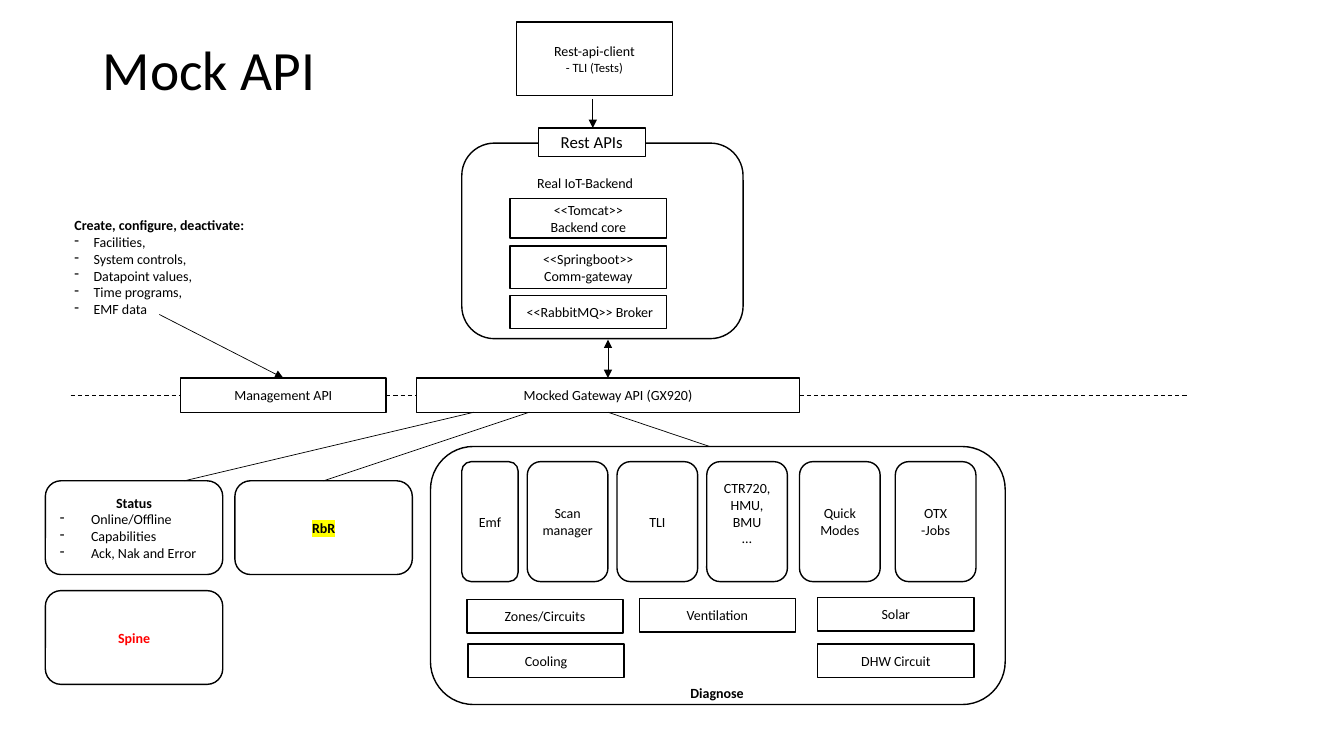
from lxml import etree
from pptx import Presentation
from pptx import util as u
from pptx.dml.color import RGBColor
from pptx.enum import dml, shapes, text
from pptx.oxml import ns

BLACK = RGBColor(0x00, 0x00, 0x00)
WHITE = RGBColor(0xFF, 0xFF, 0xFF)
RED = RGBColor(0xFF, 0x00, 0x00)
YELLOW = RGBColor(0xFF, 0xFF, 0x00)
FONT = "Calibri"
CELL = u.Inches(0.1)
RECTANGLE = shapes.MSO_SHAPE.RECTANGLE
ROUNDED = shapes.MSO_SHAPE.ROUNDED_RECTANGLE


def grid(*cells):
    """Convert grid columns and rows to slide lengths."""
    return [round(cell * CELL) for cell in cells]


def add_element(parent, tag, **attributes):
    """Append a drawing element to its parent."""
    return etree.SubElement(parent, ns.qn(tag), attributes)


def format_para(para, size=10, color=BLACK, bold=False):
    """Format every run of a paragraph."""
    for span in para.runs:
        span.font.name = FONT
        span.font.size = u.Pt(size)
        span.font.bold = bold
        span.font.color.rgb = color


def write(box, content, align=text.PP_ALIGN.CENTER, **style):
    """Put formatted lines into a box."""
    box.text_frame.text = content
    for para in box.text_frame.paragraphs:
        para.alignment = align
        format_para(para, **style)


def bullet(paras, indent):
    """Turn paragraphs into a dashed list with a hanging indent."""
    for para in paras:
        para.alignment = text.PP_ALIGN.LEFT
        format_para(para)
        properties = para._p.get_or_add_pPr()
        distance = grid(indent)[0]
        properties.set("marL", str(distance))
        properties.set("indent", str(-distance))
        add_element(properties, "a:buChar", char="-")


def highlight(span, color):
    """Mark a run with a background colour."""
    mark = etree.Element(ns.qn("a:highlight"))
    add_element(mark, "a:srgbClr", val=str(color))
    span._r.rPr.find(ns.qn("a:solidFill")).addnext(mark)


def add_box(page, kind, place, content="", **style):
    """Add an outlined white box with centred text."""
    box = page.shapes.add_shape(kind, *grid(*place))
    box.shadow.inherit = False
    box.fill.solid()
    box.fill.fore_color.rgb = WHITE
    box.line.color.rgb = BLACK
    box.line.width = u.Pt(1)
    box.text_frame.vertical_anchor = text.MSO_ANCHOR.MIDDLE
    if content:
        write(box, content, **style)
    return box


def add_label(page, place, content, **style):
    """Add free text without an outline."""
    label = page.shapes.add_textbox(*grid(*place))
    label.text_frame.word_wrap = False
    label.text_frame.auto_size = text.MSO_AUTO_SIZE.SHAPE_TO_FIT_TEXT
    write(label, content, align=text.PP_ALIGN.LEFT, **style)
    return label


def add_line(page, ends, dashed=False, arrows=()):
    """Add a straight line, dashed or with arrowheads."""
    line = page.shapes.add_connector(shapes.MSO_CONNECTOR.STRAIGHT, *grid(*ends))
    line.line.color.rgb = BLACK
    line.line.width = u.Pt(0.75 if dashed else 0.5)
    if dashed:
        line.line.dash_style = dml.MSO_LINE.DASH
    for arrow in arrows:
        add_element(line.line._get_or_add_ln(), arrow, type="triangle")
    add_element(line._element.spPr, "a:effectLst")


def add_title(page):
    """Place and format the slide title."""
    title = page.shapes.title
    title.left, title.top, title.width, title.height = grid(9.2, 4, 25.7, 6.3)
    title.text_frame.vertical_anchor = text.MSO_ANCHOR.MIDDLE
    title.text_frame.word_wrap = True
    write(title, "Mock API", align=text.PP_ALIGN.LEFT, size=39.6)
    title.text_frame.paragraphs[0].line_spacing = 0.9


def add_backend(page):
    """Draw the test client and the backend services."""
    client = add_box(page, RECTANGLE, (51.2, 2.2, 15.5, 7.3),
                     "Rest-api-client\n- TLI (Tests)")
    format_para(client.text_frame.paragraphs[1], size=9)
    add_box(page, ROUNDED, (45.8, 14.2, 27.9, 19.4))
    add_box(page, RECTANGLE, (53.4, 12.7, 10.6, 2.8), "Rest APIs", size=12)
    add_label(page, (52.3, 16.8, 11.8, 2.7), "Real IoT-Backend")
    services = [(19.7, 3.9, "<<Tomcat>>\nBackend core"),
                (24.4, 4.2, "<<Springboot>>\nComm-gateway"),
                (29.3, 3.3, " <<RabbitMQ>> Broker")]
    for top, height, name in services:
        add_box(page, RECTANGLE, (50.6, top, 15.5, height), name)


def add_interfaces(page):
    """Draw the row of APIs and the management tasks."""
    add_box(page, RECTANGLE, (41.3, 37.5, 38, 3.4), "Mocked Gateway API (GX920)")
    add_box(page, RECTANGLE, (17.9, 37.5, 20.4, 3.4), "Management API")
    tasks = add_label(page, (6.4, 21, 19.2, 12.8),
                      "Create, configure, deactivate:\nFacilities,\nSystem controls,\n"
                      "Datapoint values,\nTime programs,\nEMF data", bold=True)
    bullet(tasks.text_frame.paragraphs[1:], 1.9)


def add_features(page):
    """Draw the status, RbR and Spine boxes."""
    status = add_box(page, ROUNDED, (4.5, 47.7, 17.6, 9.3),
                     "Status\nOnline/Offline\nCapabilities\nAck, Nak and Error", bold=True)
    bullet(status.text_frame.paragraphs[1:], 3.1)
    rbr = add_box(page, ROUNDED, (23.3, 47.7, 17.6, 9.3), "RbR", bold=True)
    highlight(rbr.text_frame.paragraphs[0].runs[0], YELLOW)
    add_box(page, ROUNDED, (4.5, 58.6, 17.6, 9.3), "Spine", bold=True, color=RED)


def add_diagnose(page):
    """Draw the diagnose group with its modules and circuits."""
    add_box(page, ROUNDED, (42.7, 44.3, 57, 25.6))
    add_label(page, (67.5, 67.4, 7.4, 2.7), "Diagnose", bold=True)
    add_box(page, ROUNDED, (45.8, 45.8, 5.6, 11.9), "Emf")
    modules = [(52.3, "Scan manager"), (61.2, "TLI"), (70.1, "CTR720,\nHMU,\nBMU\n…"),
               (79.3, "Quick\nModes"), (88.8, "OTX -Jobs")]
    for left, name in modules:
        module = add_box(page, ROUNDED, (left, 45.8, 8, 11.9), name)
        if "HMU" in name:
            module.text_frame.margin_bottom = grid(2.2)[0]
    circuits = [(46.3, 59.5, "Zones/Circuits"), (46.4, 63.9, "Cooling"),
                (63.4, 59.4, "Ventilation"), (81.1, 59.3, "Solar"),
                (81.1, 63.9, "DHW Circuit")]
    for left, top, name in circuits:
        add_box(page, RECTANGLE, (left, top, 15.5, 3.3), name)


def add_links(page):
    """Draw the dashed boundary, the feature links and the arrows."""
    for start, end in [(7, 17.9), (38.3, 41.3), (79.3, 117.9)]:
        add_line(page, (start, 39.2, end, 39.2), dashed=True)
    for start, end, bottom in [(47, 18.3, 47.7), (52.5, 32.1, 47.7), (60.3, 70.4, 44.3)]:
        add_line(page, (start, 40.9, end, bottom))
    add_line(page, (58.8, 9.8, 58.8, 12.7), arrows=["a:tailEnd"])
    add_line(page, (15.8, 31.2, 28.1, 37.5), arrows=["a:tailEnd"])
    add_line(page, (60.3, 33.7, 60.3, 37.5), arrows=["a:headEnd", "a:tailEnd"])


def main():
    """Build and save the deck."""
    deck = Presentation()
    deck.slide_width, deck.slide_height = u.Inches(13.33), u.Inches(7.5)
    page = deck.slides.add_slide(deck.slide_layouts.get_by_name("Title Only"))
    for add_part in (add_title, add_backend, add_interfaces, add_features,
                     add_diagnose, add_links):
        add_part(page)
    deck.save("out.pptx")


main()
